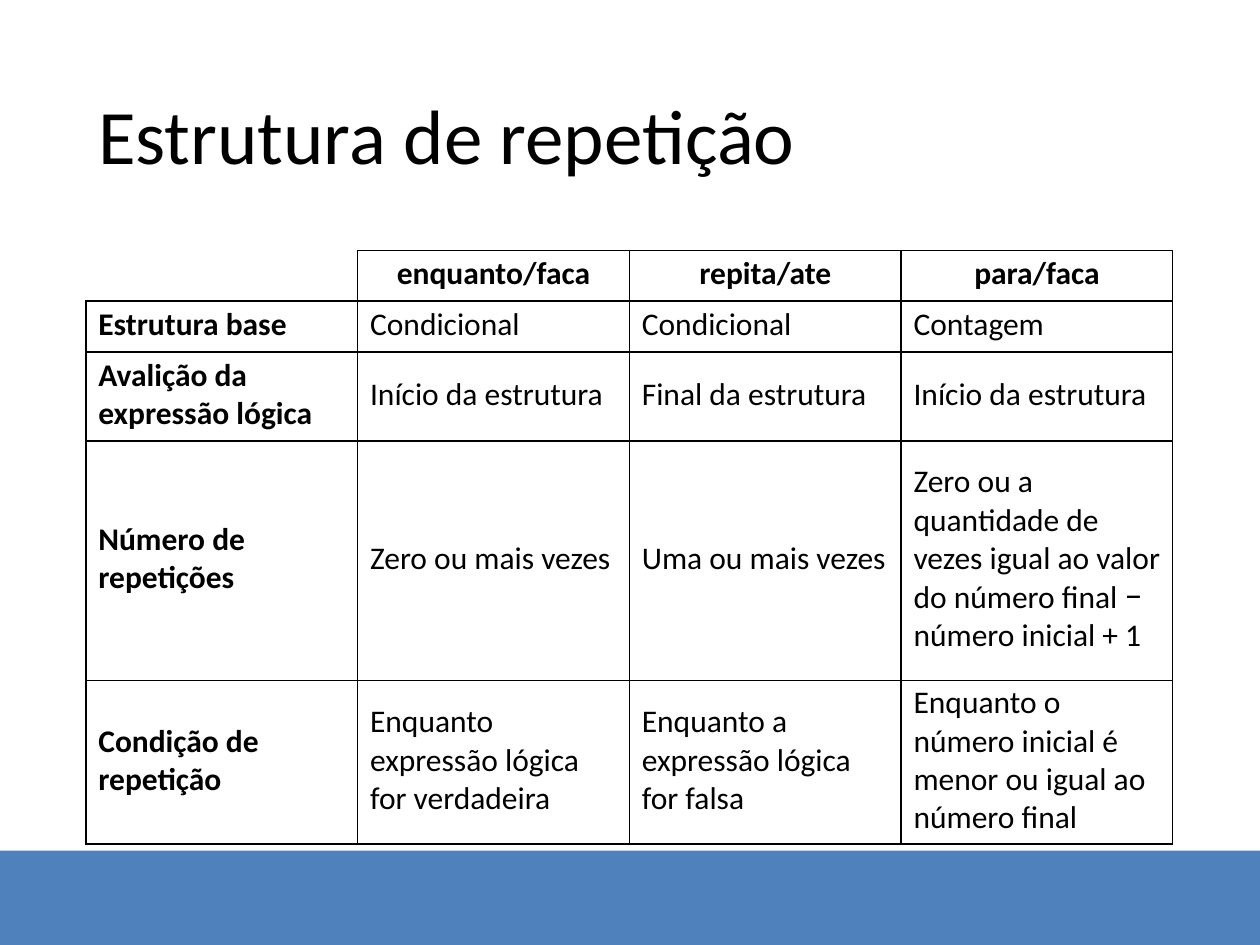
from lxml import etree
from pptx import Presentation
from pptx import util as u
from pptx.dml.color import RGBColor
from pptx.enum import shapes, text
from pptx.oxml.ns import qn

COLUMN_WIDTH = 155.3
ROW_HEIGHTS = [29.1, 29.1, 50.8, 136.8, 93.6]
ROWS = [
    ["", "enquanto/faca", "repita/ate", "para/faca"],
    ["Estrutura base", "Condicional", "Condicional", "Contagem"],
    ["Avalição da expressão lógica", "Início da estrutura",
     "Final da estrutura", "Início da estrutura"],
    ["Número de repetições", "Zero ou mais vezes", "Uma ou mais vezes",
     "Zero ou a quantidade de vezes igual ao valor do número "
     "final – número inicial + 1"],
    ["Condição de repetição", "Enquanto expressão lógica for verdadeira",
     "Enquanto a expressão lógica for falsa",
     "Enquanto o número inicial é menor ou igual ao número final"],
]


def color(value):
    return RGBColor.from_string(value)


def set_borders(cell, sides, value="000000", width=1):
    """Draw the sides named by letters: L, R, T and B."""
    tc_pr = cell._tc.get_or_add_tcPr()
    for side in sides:
        ln = etree.SubElement(tc_pr, qn(f"a:ln{side}"), w=str(u.Pt(width)))
        fill = etree.SubElement(ln, qn("a:solidFill"))
        etree.SubElement(fill, qn("a:srgbClr"), val=value)


class Deck:
    font = "Calibri"
    symbol_font = "Roboto Condensed"
    ink = "000000"
    accent = "4F81BD"
    no_grid_style = "{2D5ABB26-0587-4C30-8999-92F81FD0307C}"

    def __init__(self, width, height):
        self.prs = Presentation()
        self.prs.slide_width, self.prs.slide_height = u.Pt(width), u.Pt(height)
        self.s = self.prs.slides.add_slide(self.prs.slide_layouts[5])

    def format_run(self, r, size, bold=False):
        r.font.name = self.symbol_font if r.text == "–" else self.font
        r.font.size = u.Pt(size)
        r.font.bold = bold
        r.font.color.rgb = color(self.ink)

    def band(self, *box):
        sp = self.s.shapes.add_shape(shapes.MSO_SHAPE.RECTANGLE, *map(u.Pt, box))
        sp.shadow.inherit = False
        sp.fill.solid()
        sp.fill.fore_color.rgb = color(self.accent)
        sp.line.fill.background()
        self.s.shapes._spTree.insert(2, sp._element)  # behind everything

    def title(self, words, *box):
        sp = self.s.shapes.title
        sp.left, sp.top, sp.width, sp.height = map(u.Pt, box)
        tf = sp.text_frame
        tf.text = words
        tf.margin_left = tf.margin_right = tf.margin_bottom = 0
        tf.margin_top = u.Pt(1)
        tf.vertical_anchor = text.MSO_ANCHOR.TOP
        tf.auto_size = text.MSO_AUTO_SIZE.NONE
        p = tf.paragraphs[0]
        p.alignment = text.PP_ALIGN.LEFT
        self.format_run(p.runs[0], 44)

    def cell(self, cell, words, header, bold):
        cell.margin_left, cell.margin_right = u.Pt(7.2), u.Pt(7)
        cell.margin_top, cell.margin_bottom = 0, u.Pt(2)
        cell.vertical_anchor = text.MSO_ANCHOR.MIDDLE
        p = cell.text_frame.paragraphs[0]
        p.alignment = text.PP_ALIGN.CENTER if header else text.PP_ALIGN.LEFT
        before, dash, after = words.partition("–")
        for part in filter(None, (before, dash, after)):
            r = p.add_run()
            r.text = part
            self.format_run(r, 18, bold)
        set_borders(cell, "LRTB" if words else "RB")
        cell.fill.background()

    def table(self, rows, left, top, column_width, heights):
        columns = len(rows[0])
        frame = self.s.shapes.add_table(
            len(rows), columns, u.Pt(left), u.Pt(top),
            u.Pt(column_width * columns), u.Pt(sum(heights)))
        table = frame.table
        table.first_row = table.horz_banding = False
        table._tbl.tblPr.find(qn("a:tableStyleId")).text = self.no_grid_style
        for column in table.columns:
            column.width = u.Pt(column_width)
        for i, (row, height) in enumerate(zip(rows, heights)):
            table.rows[i].height = u.Pt(height)
            for j, words in enumerate(row):
                self.cell(table.cell(i, j), words, header=i == 0,
                          bold=i == 0 or j == 0)


def main():
    deck = Deck(720, 540)
    deck.band(0, 486, 720, 54)
    deck.title("Estrutura de repetição", 56, 49, 593, 55)
    deck.table(ROWS, 49, 143, COLUMN_WIDTH, ROW_HEIGHTS)
    deck.prs.save("out.pptx")


if __name__ == "__main__":
    main()
